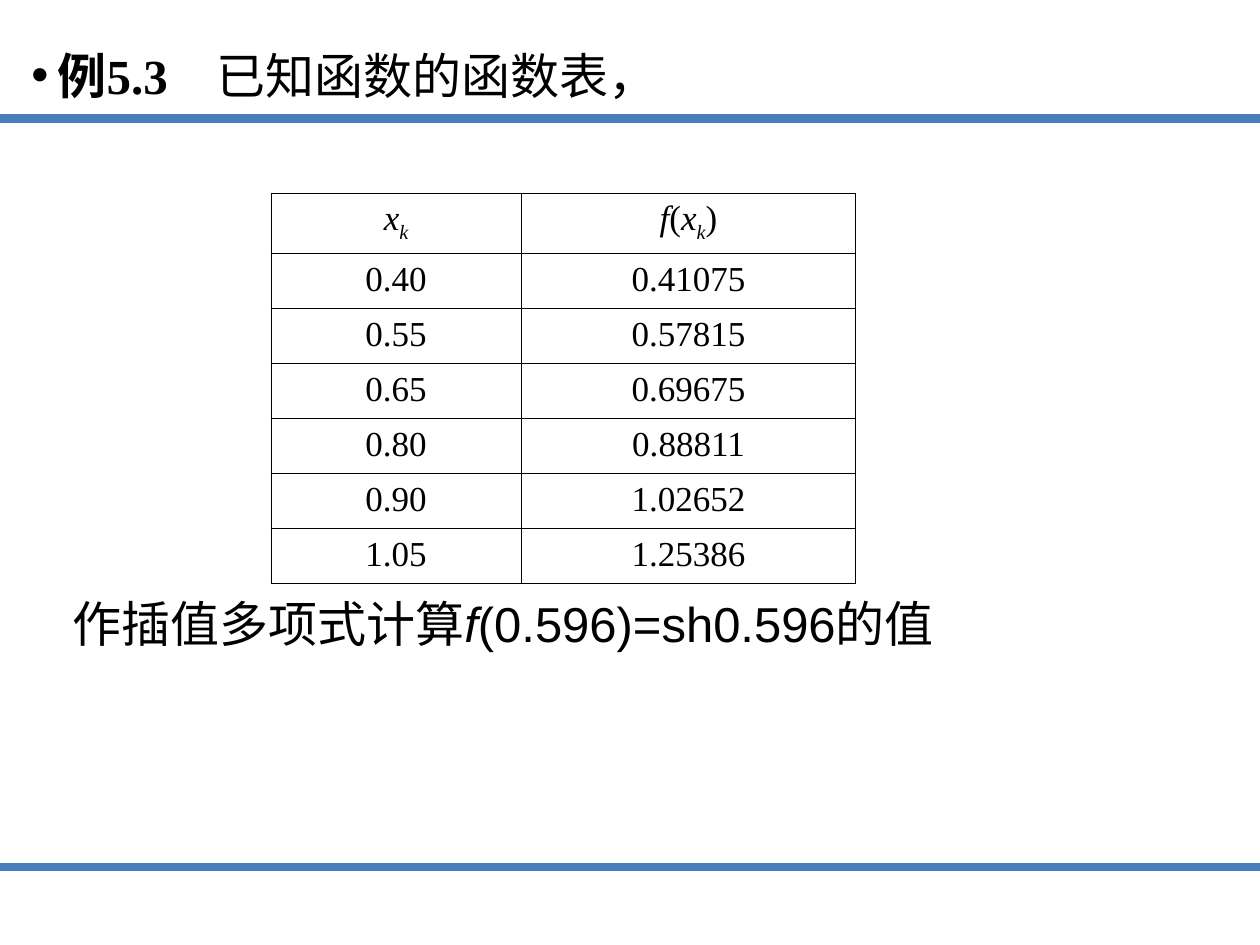
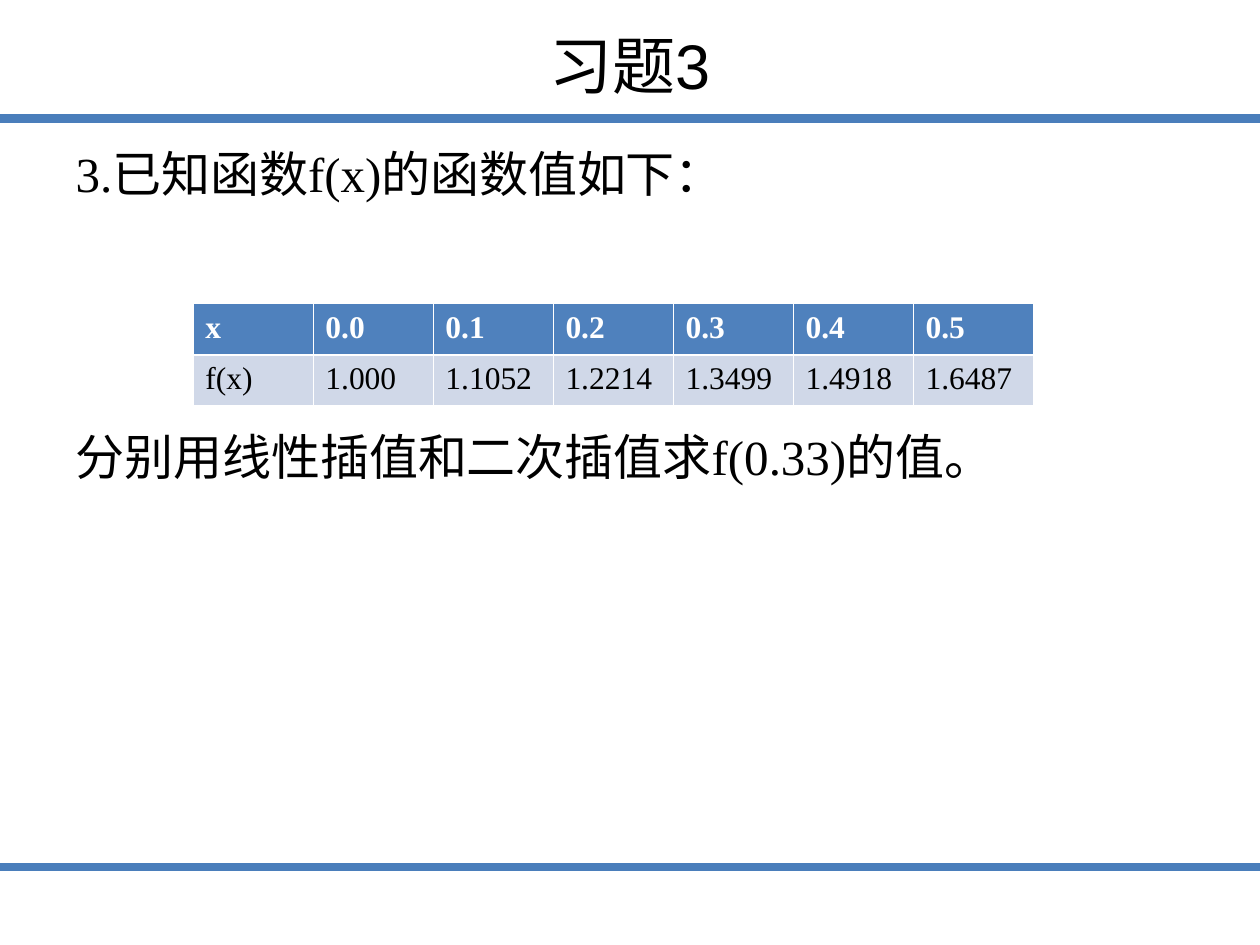
from lxml import etree
from pptx import Presentation
from pptx.dml.color import RGBColor
from pptx.enum.shapes import MSO_CONNECTOR
from pptx.enum.text import MSO_ANCHOR, MSO_AUTO_SIZE, PP_ALIGN
from pptx.oxml.ns import qn
from pptx.util import Cm, Pt

LINE = MSO_CONNECTOR.STRAIGHT
TOP, MIDDLE = MSO_ANCHOR.TOP, MSO_ANCHOR.MIDDLE
FIXED = MSO_AUTO_SIZE.NONE
LEFT, CENTER = PP_ALIGN.LEFT, PP_ALIGN.CENTER

HUES = {"rule": "4A7EBB", "head": "4F81BD", "band": "D0D8E8", "ink": "000000", "white": "FFFFFF"}
SERIF, SANS = "Times New Roman", "Arial"
ITALIC = {"italic": True}
SUB = {"italic": True, "base": "-25000"}


def write(para, runs, size, face, hue="ink", bold=False):
    for text, extra in runs:
        run = para.add_run()
        run.text = text
        style = {"size": Pt(size), "name": face, "bold": bold, "italic": False, **extra}
        base = style.pop("base", None)
        for key, value in style.items():
            setattr(run.font, key, value)
        run.font.color.rgb = RGBColor.from_string(HUES[hue])
        if base:
            run.font._element.set("baseline", base)


def border(cell, hue, widths):
    props = cell._tc.get_or_add_tcPr()
    for side, width in zip("LRTB", widths):
        line = etree.SubElement(props, qn(f"a:ln{side}"), w=str(Pt(width)))
        fill = etree.SubElement(line, qn("a:solidFill"))
        etree.SubElement(fill, qn("a:srgbClr"), val=HUES[hue])


deck = Presentation()
deck.slide_width, deck.slide_height = Cm(25.4), Cm(19.05)
page = deck.slide_layouts[1]
first, last = [deck.slides.add_slide(page) for _ in range(2)]

master = deck.slide_master.shapes.element
for mark, y in enumerate((2.39, 17.48), 20):
    rule = first.shapes.add_connector(LINE, Cm(0), Cm(y), Cm(25.4), Cm(y))
    rule.line.color.rgb = RGBColor.from_string(HUES["rule"])
    rule.line.width = Pt(5)
    etree.SubElement(rule.element.spPr, qn("a:effectLst"))
    rule.element[0][0].set("id", str(mark))
    master.append(rule.element)

blank = first.shapes.title.element
blank.getparent().remove(blank)
lead, title, body = first.placeholders[1], last.shapes.title, last.placeholders[1]
places = [
    (lead, (0.38, 0.79, 24.61, 2.49), TOP),
    (title, (1.27, 0.41, 22.86, 1.78), MIDDLE),
    (body, (1.27, 2.77, 22.86, 14.25), TOP),
]
for shape, box, anchor in places:
    shape.left, shape.top, shape.width, shape.height = map(Cm, box)
    frame = shape.text_frame
    for key, value in {"auto_size": FIXED, "word_wrap": True, "vertical_anchor": anchor}.items():
        setattr(frame, key, value)

para = lead.text_frame.paragraphs[0]
props = para._p.get_or_add_pPr()
props.set("marL", str(Cm(0.53)))
props.set("indent", str(Cm(-0.53)))
etree.SubElement(props, qn("a:buFont"), typeface=SANS)
etree.SubElement(props, qn("a:buChar"), char="•")
para.space_before = Pt(0)
write(para, [("例5.3", {"bold": True}), ("　已知函数的函数表，", {})], 28, SERIF)

para = title.text_frame.paragraphs[0]
para.alignment = CENTER
write(para, [("习题3", {})], 36, SANS)

lines = [("3.已知函数f(x)的函数值如下：", 0), ("分别用线性插值和二次插值求f(0.33)的值。", 128)]
for row, (text, gap) in enumerate(lines):
    para = body.text_frame.add_paragraph() if row else body.text_frame.paragraphs[0]
    props = para._p.get_or_add_pPr()
    props.set("marL", "0")
    props.set("indent", "0")
    etree.SubElement(props, qn("a:buNone"))
    para.space_before = Pt(gap)
    write(para, [(text, {})], 28, SERIF)

note = first.shapes.add_textbox(Cm(1.22), Cm(11.84), Cm(18.54), Cm(1.45))
note.text_frame.word_wrap = False
task = [("作插值多项式计算", {}), ("f", ITALIC), ("(0.596)=sh0.596的值", {})]
write(note.text_frame.paragraphs[0], task, 28, SANS)

pairs = [
    ([("x", ITALIC), ("k", SUB)], [("f", ITALIC), ("(", {}), ("x", ITALIC), ("k", SUB), (")", {})]),
    ("0.40", "0.41075"),
    ("0.55", "0.57815"),
    ("0.65", "0.69675"),
    ("0.80", "0.88811"),
    ("0.90", "1.02652"),
    ("1.05", "1.25386"),
]
values = [
    ("x", "0.0", "0.1", "0.2", "0.3", "0.4", "0.5"),
    ("f(x)", "1.000", "1.1052", "1.2214", "1.3499", "1.4918", "1.6487"),
]
plain = (None, "ink", False, (0.45,) * 4)
head = ("head", "white", True, (0.45, 0.45, 0.45, 1.47))
band = ("band", "ink", False, (0.45, 0.45, 1.47, 0.45))
tables = [
    (first, pairs, (5.46, 3.89), (5.05, 6.74), 1.04, 20, CENTER, 0.18, "ink", [plain] * 7),
    (last, values, (3.89, 6.12), (2.42,) * 7, 1.03, 18, LEFT, 0.25, "white", [head, band]),
]
for slide, data, spot, widths, high, size, align, inset, edge, looks in tables:
    x, y = map(Cm, spot)
    count = len(data)
    grid = slide.shapes.add_table(count, len(widths), x, y, Cm(sum(widths)), Cm(high * count)).table
    grid.first_row = grid.horz_banding = False
    for column, width in zip(grid.columns, widths):
        column.width = Cm(width)
    for r, (texts, look) in enumerate(zip(data, looks)):
        fill, hue, bold, edges = look
        grid.rows[r].height = Cm(high)
        for c, text in enumerate(texts):
            cell = grid.cell(r, c)
            cell.margin_left = cell.margin_right = Cm(inset)
            cell.margin_top = cell.margin_bottom = Cm(0.13)
            border(cell, edge, edges)
            if fill:
                cell.fill.solid()
                cell.fill.fore_color.rgb = RGBColor.from_string(HUES[fill])
            else:
                cell.fill.background()
            para = cell.text_frame.paragraphs[0]
            para.alignment = align
            runs = [(text, {})] if isinstance(text, str) else text
            write(para, runs, size, SERIF, hue, bold)

deck.save("out.pptx")
